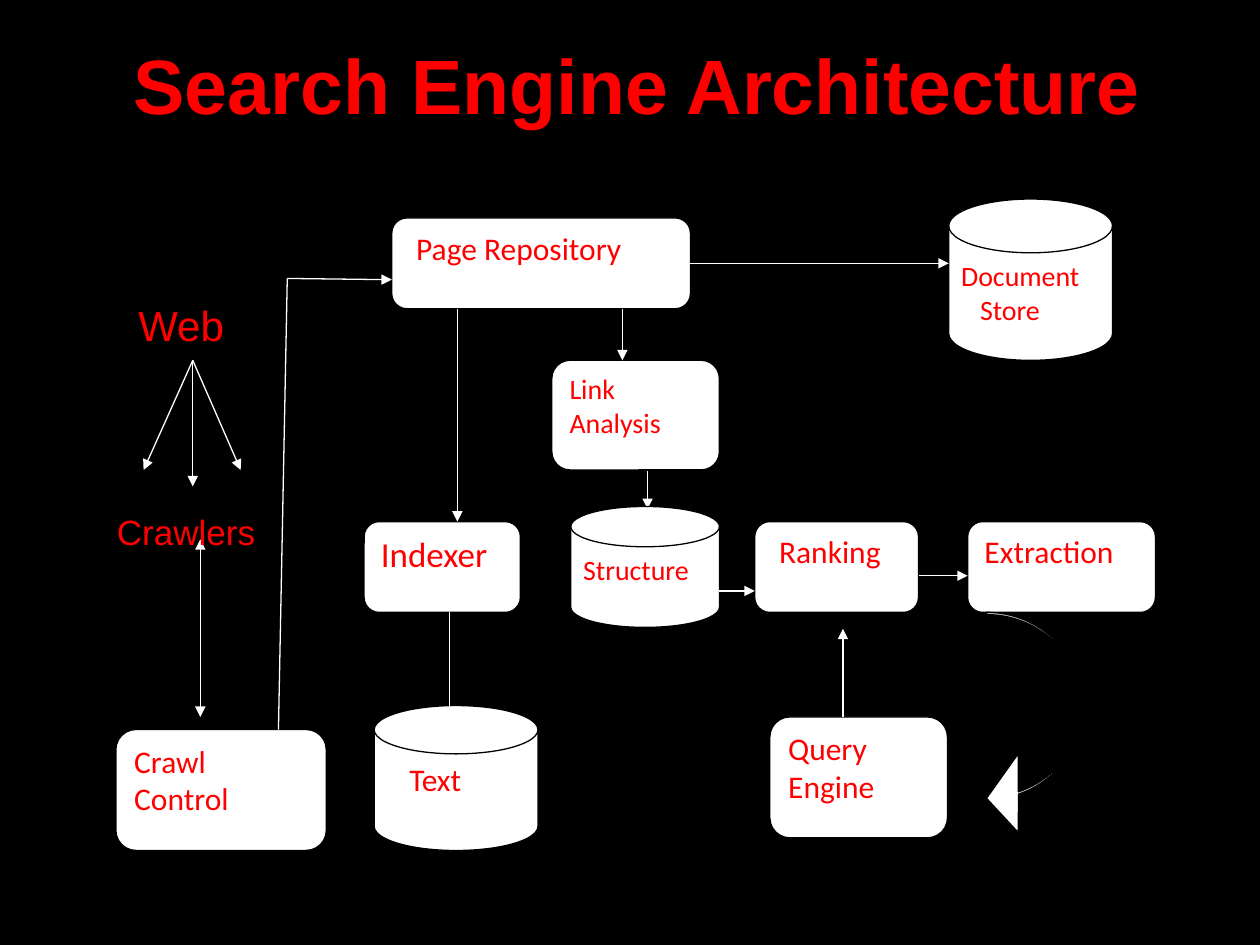
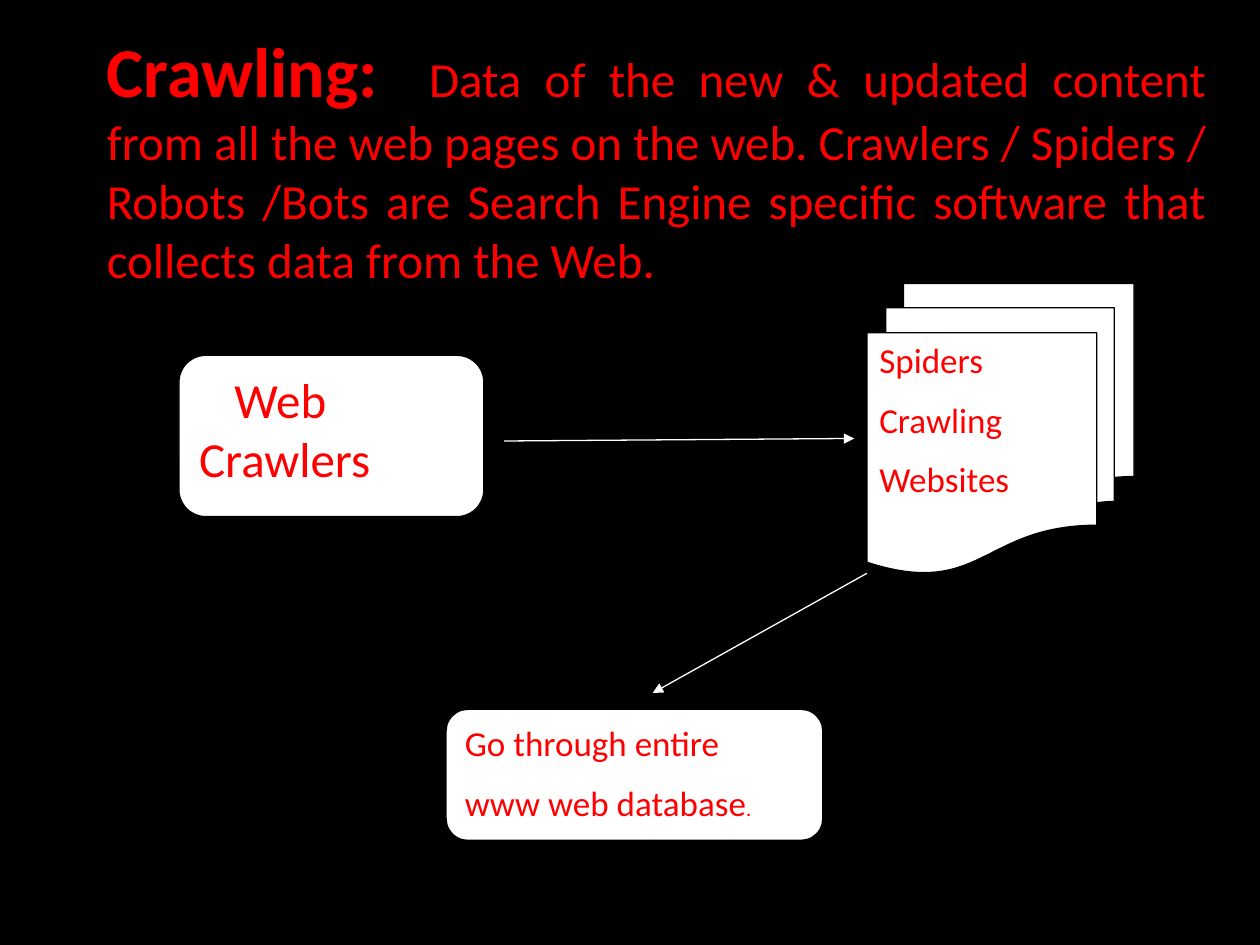
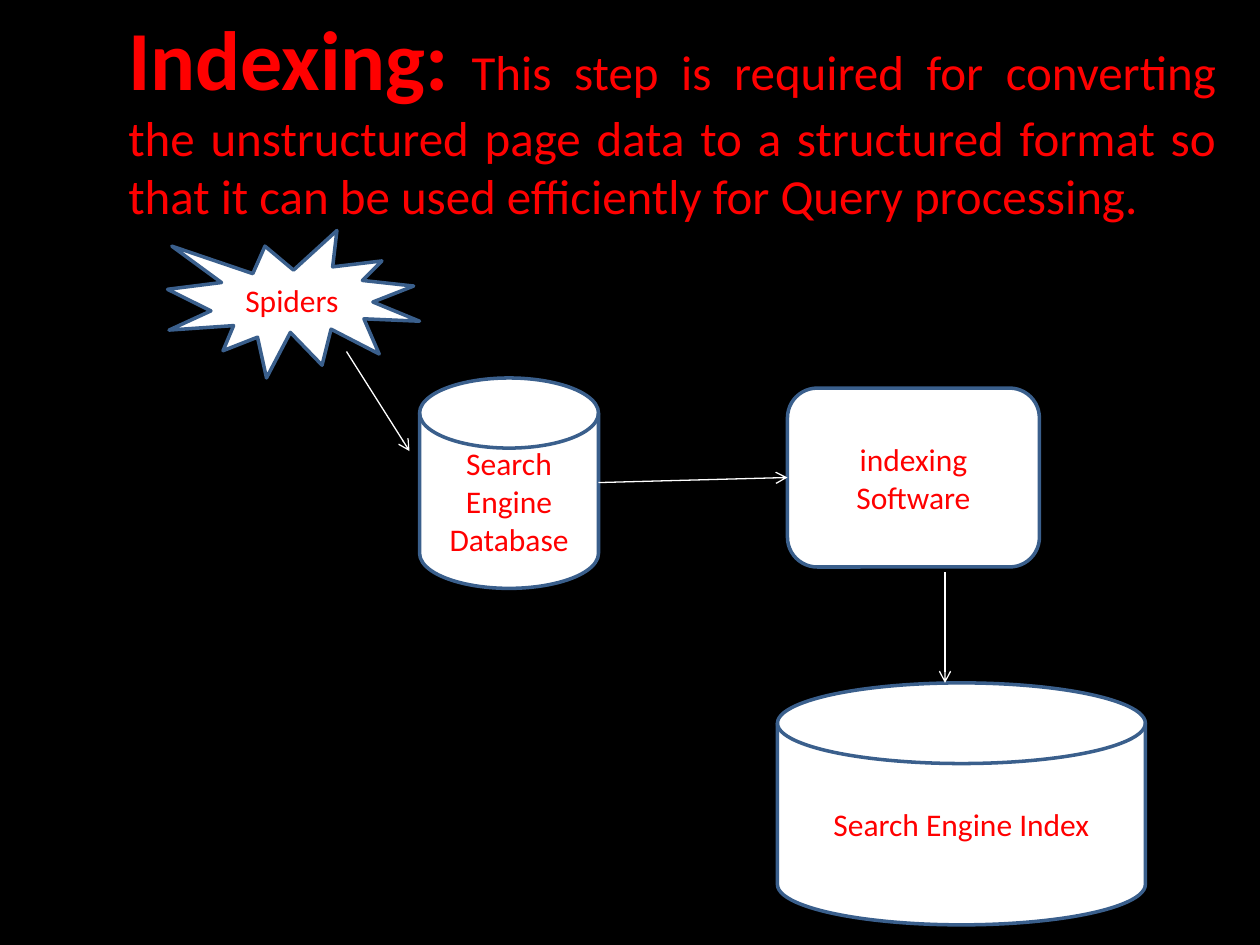
"""Build three slides on search engine architecture, crawling and indexing."""
from dataclasses import dataclass
from typing import NamedTuple

from lxml.etree import SubElement
from pptx import Presentation
from pptx.dml.color import RGBColor
from pptx.enum.shapes import MSO_CONNECTOR, MSO_SHAPE
from pptx.enum.text import MSO_ANCHOR, PP_ALIGN
from pptx.oxml.ns import qn
from pptx.presentation import Presentation as Deck
from pptx.shapes.base import BaseShape
from pptx.slide import Slide
from pptx.text.text import TextFrame
from pptx.util import Inches, Pt

BLACK, WHITE, RED, BLUE = "000000", "FFFFFF", "FF0000", "3A5F8C"
BOX = MSO_SHAPE.ROUNDED_RECTANGLE
DISK = MSO_SHAPE.FLOWCHART_MAGNETIC_DISK
ROW_TOP, ROW_HEIGHT = 4.14, 0.72


class Area(NamedTuple):
    """A rectangle in inches."""

    left: float
    top: float
    width: float
    height: float


class Tail(NamedTuple):
    """A closing run whose size differs from the rest of its paragraph."""

    text: str
    size: float


@dataclass(frozen=True)
class Line:
    """A paragraph, with its margin and first-line indent in inches."""

    text: str
    size: float = 18
    bold: bool = False
    font: str = "Calibri"
    tail: Tail | None = None
    margin: float = 0
    indent: float = 0


@dataclass(frozen=True)
class Style:
    """The look shared by the nodes of one diagram."""

    line_color: str
    line_width: float
    alignment: PP_ALIGN
    anchor: MSO_ANCHOR
    space_after: float


class Node(NamedTuple):
    """A diagram shape and its paragraphs."""

    kind: MSO_SHAPE
    area: Area
    lines: tuple[Line, ...] = ()


class Arrow(NamedTuple):
    """A connector from start to end, with the arrowheads at either side."""

    start: tuple[float, float]
    end: tuple[float, float]
    tail: str | None = "triangle"
    head: str | None = None


OUTLINED = Style(BLACK, 0.75, PP_ALIGN.LEFT, MSO_ANCHOR.TOP, 10)
CENTRED = Style(BLUE, 2, PP_ALIGN.CENTER, MSO_ANCHOR.MIDDLE, 0)


def color(value: str) -> RGBColor:
    """Turn a hex string into a colour."""
    return RGBColor.from_string(value)


def add_slide(presentation: Deck) -> Slide:
    """Add a blank slide with a black background."""
    slide = presentation.slides.add_slide(presentation.slide_layouts[6])
    slide.background.fill.solid()
    slide.background.fill.fore_color.rgb = color(BLACK)
    return slide


def write(frame: TextFrame, lines: tuple[Line, ...], alignment: PP_ALIGN, space_after: float = 0) -> None:
    """Fill a text frame with red paragraphs."""
    frame.word_wrap = True
    for index, line in enumerate(lines):
        paragraph = frame.add_paragraph() if index else frame.paragraphs[0]
        paragraph.text = line.text
        paragraph.alignment = alignment
        paragraph.space_after = Pt(space_after)
        paragraph.font.name = line.font
        paragraph.font.size = Pt(line.size)
        paragraph.font.bold = line.bold
        paragraph.font.color.rgb = color(RED)
        if line.margin or line.indent:
            properties = paragraph._p.get_or_add_pPr()
            properties.set("marL", str(Inches(line.margin)))
            properties.set("indent", str(Inches(line.indent)))
        if line.tail:
            run = paragraph.add_run()
            run.text = line.tail.text
            run.font.size = Pt(line.tail.size)
            run.font.bold = False


def add_text(slide: Slide, area: Area, line: Line, alignment: PP_ALIGN = PP_ALIGN.LEFT) -> None:
    """Add a text box holding one paragraph."""
    box = slide.shapes.add_textbox(*map(Inches, area))
    write(box.text_frame, (line,), alignment)


def add_node(slide: Slide, node: Node, style: Style) -> BaseShape:
    """Add a white diagram shape."""
    shape = slide.shapes.add_shape(node.kind, *map(Inches, node.area))
    shape.shadow.inherit = False
    shape.fill.solid()
    shape.fill.fore_color.rgb = color(WHITE)
    shape.line.color.rgb = color(style.line_color)
    shape.line.width = Pt(style.line_width)
    shape.text_frame.vertical_anchor = style.anchor
    write(shape.text_frame, node.lines, style.alignment, style.space_after)
    return shape


def add_arrow(slide: Slide, arrow: Arrow) -> None:
    """Add a thin white connector."""
    points = map(Inches, (*arrow.start, *arrow.end))
    connector = slide.shapes.add_connector(MSO_CONNECTOR.STRAIGHT, *points)
    connector.line.color.rgb = color(WHITE)
    connector.line.width = Pt(0.75)
    outline = connector.line._get_or_add_ln()
    for tag, kind in (("a:headEnd", arrow.head), ("a:tailEnd", arrow.tail)):
        if kind:
            SubElement(outline, qn(tag), type=kind)
    SubElement(connector._element.spPr, qn("a:effectLst"))


def add_diagram(slide: Slide, nodes: list[Node], arrows: list[Arrow], style: Style) -> None:
    """Add the nodes, then the arrows between them."""
    for node in nodes:
        add_node(slide, node, style)
    for arrow in arrows:
        add_arrow(slide, arrow)


def build_architecture(presentation: Deck) -> None:
    """Build the overview of the search engine's parts."""
    slide = add_slide(presentation)
    add_arrow(slide, Arrow((5.14, 3.74), (5.14, 4.04)))
    nodes = [
        Node(BOX, Area(3.11, 1.73, 2.37, 0.72), (Line("Page Repository", indent=0.06),)),
        Node(BOX, Area(4.38, 2.86, 1.33, 0.87), (Line("Link Analysis", 16),)),
        Node(BOX, Area(5.99, ROW_TOP, 1.3, ROW_HEIGHT), (Line("Ranking", indent=0.06),)),
        Node(BOX, Area(2.89, ROW_TOP, 1.24, ROW_HEIGHT), (Line("Indexer", 20),)),
        Node(BOX, Area(7.68, ROW_TOP, 1.49, ROW_HEIGHT), (Line("Extraction"),)),
        Node(BOX, Area(0.92, 5.79, 1.67, 0.96), (Line("Crawl\vControl"),)),
        Node(DISK, Area(7.53, 1.58, 1.3, 1.28), (Line("Document Store", 16, margin=0.15, indent=-0.15),)),
        Node(BOX, Area(6.11, 5.69, 1.41, 0.96), (Line("Query Engine"),)),
        Node(DISK, Area(4.53, 4.02, 1.18, 0.96), (Line("Structure", 16),)),
        Node(DISK, Area(2.97, 5.6, 1.3, 1.15), (Line("Text", indent=0.18),)),
    ]
    web = (1.53, 2.86)
    corner = (2.28, 2.21)
    arrows = [Arrow(web, end) for end in ((1.14, 3.73), (1.53, 3.86), (1.91, 3.73))]
    arrows += [
        Arrow((1.59, 4.28), (1.59, 5.69), head="triangle"),
        Arrow((3.63, 2.45), (3.63, ROW_TOP)),
        Arrow((3.57, 4.86), (3.57, 5.86)),
        Arrow((4.94, 2.45), (4.94, 2.86)),
        Arrow((5.47, 2.09), (7.53, 2.09)),
        Arrow((5.71, 4.69), (5.99, 4.69)),
        Arrow(corner, (3.11, 2.22)),
        Arrow(corner, (2.21, 5.79), tail=None),
        Arrow((7.29, 4.57), (7.68, 4.57)),
        Arrow((6.69, 5.69), (6.69, 4.99)),
    ]
    add_diagram(slide, nodes, arrows, OUTLINED)
    feedback = Node(MSO_SHAPE.CURVED_LEFT_ARROW, Area(7.83, 4.86, 0.76, 1.79))
    shape = add_node(slide, feedback, OUTLINED)
    for index, value in enumerate((0.024, 0.826, 0.333)):
        shape.adjustments[index] = value
    add_text(slide, Area(1, 2.33, 1, 0.5), Line("Web", 24, font="Arial"))
    add_text(slide, Area(0.83, 4, 1.33, 0.44), Line("Crawlers", 20, font="Arial"))
    title = Line("Search Engine Architecture", 44, True, "Arial")
    add_text(slide, Area(0.92, 0.25, 8.28, 1.58), title, PP_ALIGN.CENTER)


def build_crawling(presentation: Deck) -> None:
    """Build the slide on crawling."""
    slide = add_slide(presentation)
    definition = Tail(
        " Data of the new & updated content from all the web pages on the web. "
        "Crawlers / Spiders / Robots /Bots are Search Engine specific software "
        "that collects data from the Web.",
        28,
    )
    heading = Line("Crawling: ", 40, True, tail=definition)
    add_text(slide, Area(0.75, 0.17, 8.92, 2.66), heading, PP_ALIGN.JUSTIFY)
    steps = tuple(Line(text, 20) for text in ("Spiders", "Crawling", "Websites"))
    database = (Line("Go through entire", 20), Line("www web database", 20, tail=Tail(".", 12)))
    nodes = [
        Node(BOX, Area(3.54, 5.63, 2.99, 1.04), database),
        Node(MSO_SHAPE.FLOWCHART_MULTIDOCUMENT, Area(6.88, 2.25, 2.12, 2.3), steps),
        Node(BOX, Area(1.42, 2.82, 2.42, 1.28), (Line("Web Crawlers", 28, indent=0.28),)),
    ]
    arrows = [Arrow((4, 3.5), (6.78, 3.48)), Arrow((6.88, 4.55), (5.18, 5.5))]
    add_diagram(slide, nodes, arrows, OUTLINED)


def build_indexing(presentation: Deck) -> None:
    """Build the slide on indexing."""
    slide = add_slide(presentation)
    definition = Tail(
        " This step is required for converting the unstructured page data to a "
        "structured format so that it can be used efficiently for Query processing.",
        28,
    )
    heading = Line("Indexing:", 48, True, tail=definition)
    add_text(slide, Area(0.92, 0, 8.83, 2.19), heading, PP_ALIGN.JUSTIFY)
    nodes = [
        Node(MSO_SHAPE.EXPLOSION1, Area(1.33, 1.83, 2, 1.17), (Line("Spiders"),)),
        Node(DISK, Area(3.33, 3, 1.42, 1.67), (Line("Search Engine Database"),)),
        Node(BOX, Area(6.25, 3.08, 2, 1.42), (Line("indexing Software"),)),
        Node(DISK, Area(6.17, 5.42, 2.92, 1.92), (Line("Search Engine Index"),)),
    ]
    arrows = [
        Arrow((4.75, 3.83), (6.25, 3.79), "arrow"),
        Arrow((2.75, 2.79), (3.25, 3.58), "arrow"),
        Arrow((7.5, 4.54), (7.5, 5.42), "arrow"),
    ]
    add_diagram(slide, nodes, arrows, CENTRED)


def main() -> None:
    """Build and save the presentation."""
    presentation = Presentation()
    presentation.slide_width = Inches(10)
    presentation.slide_height = Inches(7.5)
    build_architecture(presentation)
    build_crawling(presentation)
    build_indexing(presentation)
    presentation.save("out.pptx")


main()
